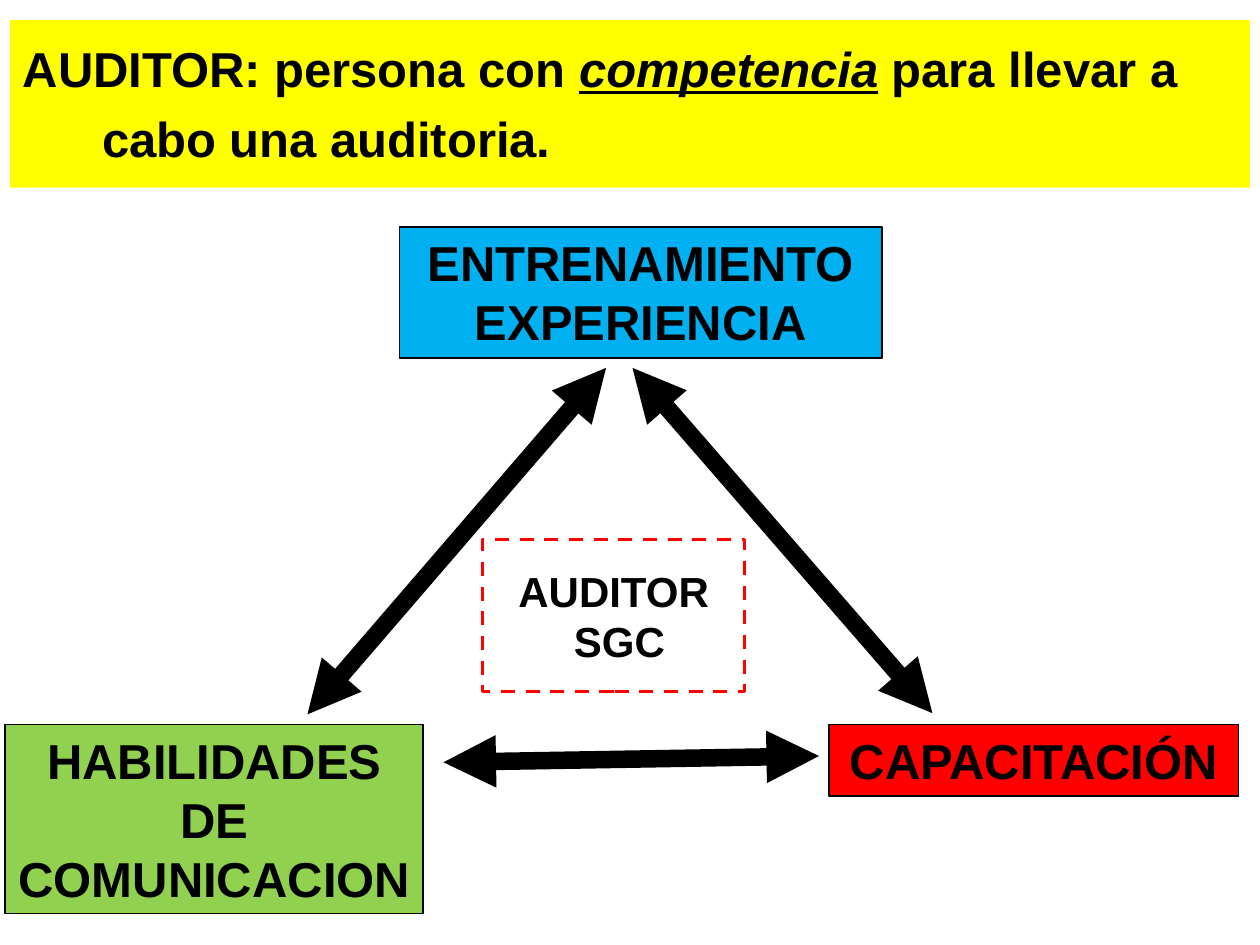
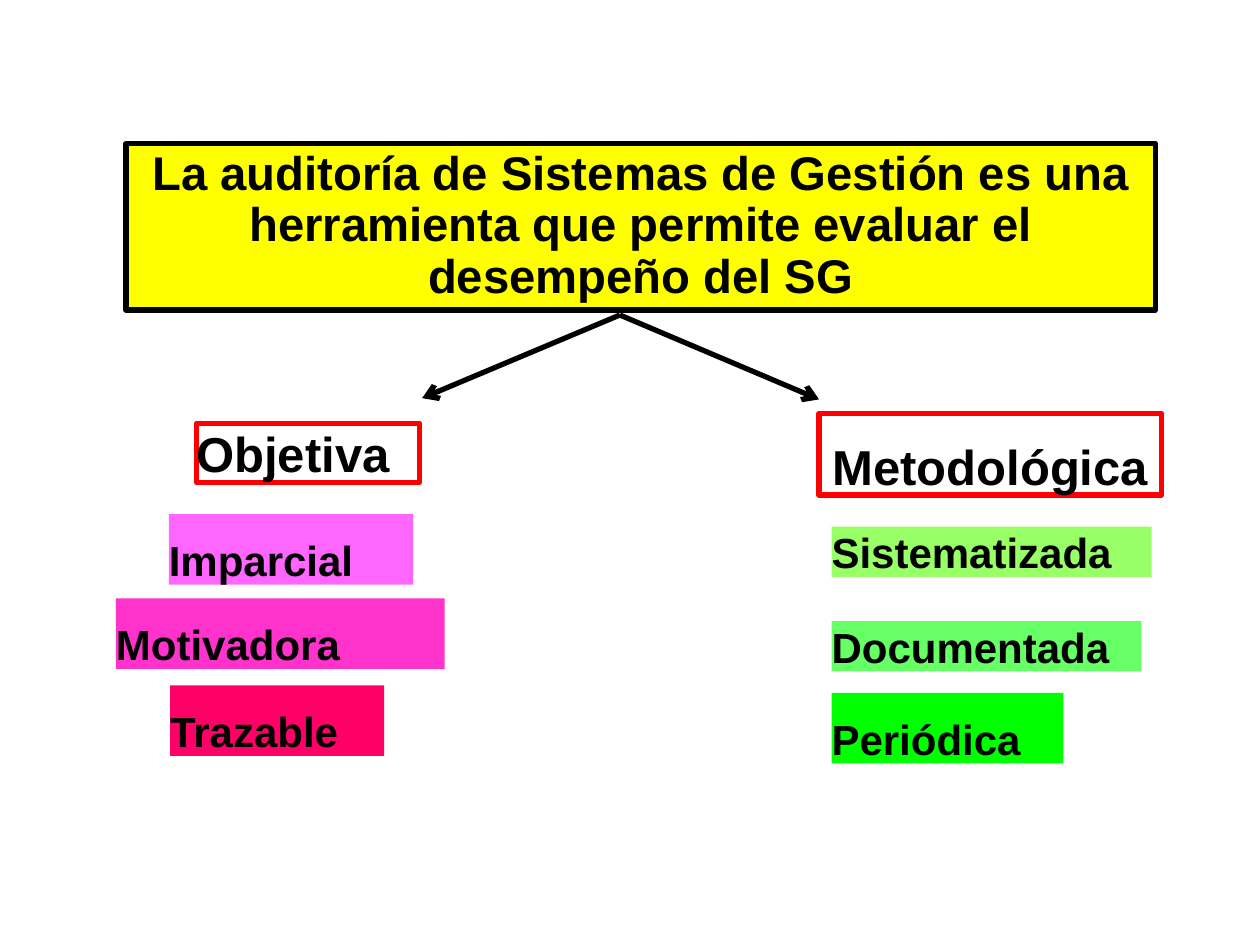
from lxml import etree
from pptx import Presentation
from pptx.dml.color import RGBColor
from pptx.enum import dml, shapes, text
from pptx.oxml import ns
from pptx.util import Inches, Pt

COLOURS = {
    "black": "000000", "yellow": "FFFF00", "red": "FF0000",
    "blue": "00B0F0", "olive": "92D050",
    "pink": "FF66FF", "magenta": "FF33CC", "crimson": "FF0066",
    "lime": "99FF66", "mint": "66FF66", "green": "00FF00",
}
FONT = "Arial"
TITLE_ONLY = 5
PADDED = (0.1, 0.05)
TIGHT = (0, 0)
CENTER = text.PP_ALIGN.CENTER
LEFT = text.PP_ALIGN.LEFT


def colour(name):
    return RGBColor.from_string(COLOURS[name])


class Deck:
    """Holds the shared style and the slide being built."""

    def __init__(self):
        self.presentation = Presentation()
        self.presentation.slide_width = Inches(10)
        self.presentation.slide_height = Inches(7.5)
        self.slide = None

    def new_slide(self):
        layout = self.presentation.slide_layouts[TITLE_ONLY]
        self.slide = self.presentation.slides.add_slide(layout)

    def paint(self, shape, fill, line, width, dash=None):
        if fill:
            shape.fill.solid()
            shape.fill.fore_color.rgb = colour(fill)
        else:
            shape.fill.background()
        if line:
            shape.line.color.rgb = colour(line)
            shape.line.width = Pt(width)
            if dash:
                shape.line.dash_style = dash
        else:
            shape.line.fill.background()

    def fill_text(self, shape, content, size, align=LEFT, spacing=1.0, before=0,
                  hanging=0, padding=PADDED, anchor=text.MSO_ANCHOR.TOP):
        frame = shape.text_frame
        frame.text = content
        frame.word_wrap = True
        frame.auto_size = text.MSO_AUTO_SIZE.NONE
        frame.vertical_anchor = anchor
        frame.margin_left = frame.margin_right = Inches(padding[0])
        frame.margin_top = frame.margin_bottom = Inches(padding[1])
        for paragraph in frame.paragraphs:
            paragraph.alignment = align
            paragraph.line_spacing = spacing
            paragraph.space_before = Pt(before)
            if hanging:
                properties = paragraph._p.get_or_add_pPr()
                properties.set("marL", str(Inches(hanging)))
                properties.set("indent", str(-Inches(hanging)))
            for run in paragraph.runs:
                self.style_run(run, size)

    def style_run(self, run, size, emphasis=False):
        run.font.name = FONT
        run.font.size = Pt(size)
        run.font.bold = True
        run.font.italic = run.font.underline = emphasis
        run.font.color.rgb = colour("black")

    def title(self, box, content, size, geometry="rect", line=None, **style):
        """Format the title placeholder as a yellow banner."""
        shape = self.slide.shapes.title
        shape.left, shape.top, shape.width, shape.height = map(Inches, box)
        outline = etree.SubElement(shape._element.spPr, ns.qn("a:prstGeom"), prst=geometry)
        etree.SubElement(outline, ns.qn("a:avLst"))
        self.paint(shape, "yellow", line, 3)
        self.fill_text(shape, content, size, **style)
        return shape

    def emphasise(self, shape, word, size):
        """Set one word of a single-run paragraph in underlined italics."""
        paragraph = shape.text_frame.paragraphs[0]
        start, end = paragraph.text.split(word)
        paragraph.runs[0].text = start
        for content in (word, end):
            run = paragraph.add_run()
            run.text = content
            self.style_run(run, size, emphasis=content == word)

    def box(self, box, content, size, fill=None, line=None, width=1, dash=None, **style):
        shape = self.slide.shapes.add_shape(
            shapes.MSO_SHAPE.RECTANGLE, *map(Inches, box))
        shape.shadow.inherit = False
        self.paint(shape, fill, line, width, dash)
        self.fill_text(shape, content, size, **style)

    def arrow(self, start, end, width, **heads):
        """Draw a line; heads maps headEnd and tailEnd to arrowhead types."""
        connector = self.slide.shapes.add_connector(
            shapes.MSO_CONNECTOR.STRAIGHT, *map(Inches, start + end))
        connector.line.color.rgb = colour("black")
        connector.line.width = Pt(width)
        line = connector.line._get_or_add_ln()
        for tag, kind in heads.items():
            etree.SubElement(line, ns.qn(f"a:{tag}"), type=kind)
        etree.SubElement(connector._element.spPr, ns.qn("a:effectLst"))


def build_auditor(deck):
    deck.new_slide()
    banner = deck.title(
        (0.08, 0.16, 9.84, 1.33),
        "AUDITOR: persona con competencia para llevar a cabo una auditoria.",
        28, geometry="roundRect", spacing=1.2, before=7, hanging=0.63)
    deck.emphasise(banner, "competencia", 28)

    corners = [
        ("ENTRENAMIENTO EXPERIENCIA", (3.17, 1.8, 3.83, 1.04), "blue"),
        ("HABILIDADES DE COMUNICACION", (0.04, 5.75, 3.32, 1.5), "olive"),
        ("CAPACITACIÓN", (6.58, 5.75, 3.25, 0.57), "red"),
    ]
    for content, box, fill in corners:
        deck.box(box, content, 28, fill=fill, line="black", align=CENTER, before=17.5)

    deck.box((3.83, 4.28, 2.08, 1.21), "AUDITOR\n SGC", 24, line="red", width=2,
             dash=dml.MSO_LINE.DASH, align=CENTER, anchor=text.MSO_ANCHOR.MIDDLE)

    sides = [
        ((4.81, 2.92), (2.44, 5.67)),
        ((5.02, 2.92), (7.4, 5.66)),
        ((3.52, 6.05), (6.5, 6)),
    ]
    for start, end in sides:
        deck.arrow(start, end, 10, headEnd="triangle", tailEnd="triangle")


def build_audit_qualities(deck):
    deck.new_slide()
    deck.title(
        (1, 1.14, 8.17, 1.32),
        "La auditoría de Sistemas de Gestión es una herramienta que permite "
        "evaluar el desempeño del SG",
        27, line="black", align=CENTER, spacing=0.9, before=16.9)

    for end in ((3.35, 3.16), (6.5, 3.17)):
        deck.arrow((4.92, 2.5), end, 3, tailEnd="arrow")

    headings = [
        ("Objetiva", (1.56, 3.36, 1.77, 0.47), LEFT, 1.0),
        ("Metodológica", (6.5, 3.28, 2.72, 0.65), CENTER, 1.4),
    ]
    for content, box, align, spacing in headings:
        deck.box(box, content, 28, line="red", width=3, align=align,
                 spacing=spacing, padding=TIGHT)

    qualities = [
        ("Imparcial", (1.34, 4.08, 1.94, 0.56), "pink", 1.4),
        ("Motivadora", (0.92, 4.75, 2.61, 0.56), "magenta", 1.4),
        ("Trazable", (1.35, 5.44, 1.7, 0.56), "crimson", 1.4),
        ("Sistematizada", (6.6, 4.18, 2.54, 0.4), "lime", 1.0),
        ("Documentada", (6.6, 4.93, 2.46, 0.4), "mint", 1.0),
        ("Periódica", (6.6, 5.5, 1.84, 0.56), "green", 1.4),
    ]
    for content, box, fill, spacing in qualities:
        deck.box(box, content, 24, fill=fill, spacing=spacing, hanging=0.42, padding=TIGHT)


def main():
    deck = Deck()
    build_auditor(deck)
    build_audit_qualities(deck)
    deck.presentation.save("out.pptx")


if __name__ == "__main__":
    main()
